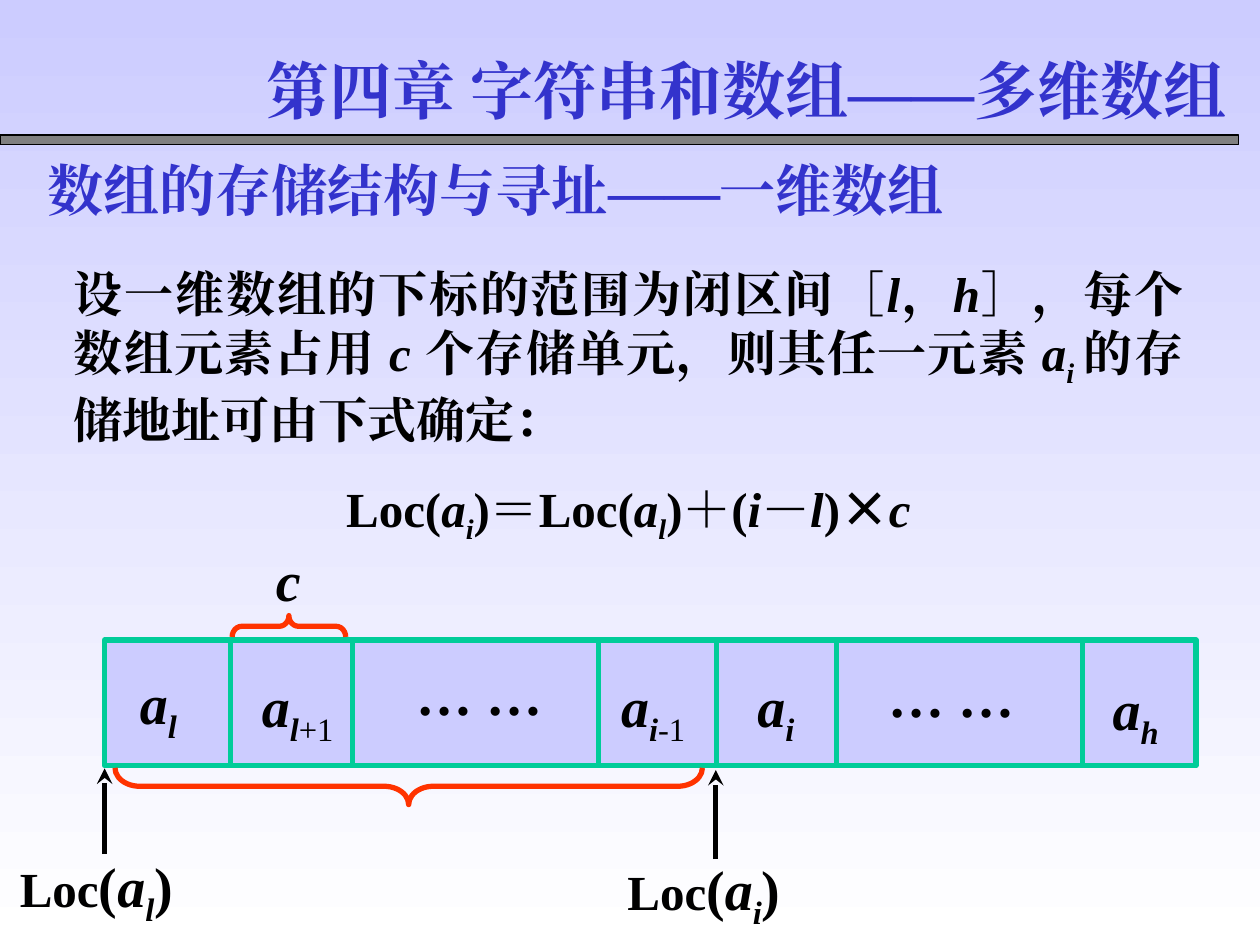
"""Build the slide on how a one-dimensional array is stored and addressed."""
from lxml.etree import SubElement
from pptx import Presentation
from pptx.dml.color import RGBColor
from pptx.enum.shapes import MSO_CONNECTOR, MSO_SHAPE
from pptx.enum.text import MSO_ANCHOR, MSO_AUTO_SIZE, PP_ALIGN
from pptx.oxml.ns import qn
from pptx.util import Cm, Pt

THEME = {
    "title": RGBColor(0x33, 0x33, 0xCC),
    "text": RGBColor(0, 0, 0),
    "bar": RGBColor(0x80, 0x80, 0x80),
    "cell": RGBColor(0xCC, 0xCC, 0xFF),
    "edge": RGBColor(0x00, 0xCC, 0x99),
    "brace": RGBColor(0xFF, 0x33, 0x00),
    "fade": RGBColor(0xFF, 0xFF, 0xFF),
    "huge": Pt(36),
    "large": Pt(32),
    "body": Pt(28),
    "thick": Pt(3),
    "thin": Pt(0.75),
    "serif": "Times New Roman",
    "sans": "Noto Sans CJK SC",
    "comic": "Comic Neue",
}
PLAIN = {"bold": True, "italic": False, "name": THEME["serif"]}
STYLE = {
    "plain": {},
    "var": {"italic": True},
    "sub": {"italic": True},
    "off": {"italic": False, "bold": False},
    "sans": {"name": THEME["sans"]},
    "comic": {"name": THEME["comic"]},
    "big": {"size": THEME["large"]},
    "bigvar": {"size": THEME["large"], "italic": True},
    "bigsub": {"size": THEME["large"], "italic": True},
}
DROP = {"sub": "-25000", "off": "-25000", "bigsub": "-25000"}


def write(para, parts, size, color="text"):
    for text, kind in parts:
        run = para.add_run()
        run.text = text
        for key, value in {**PLAIN, "size": size, **STYLE[kind]}.items():
            setattr(run.font, key, value)
        run.font.color.rgb = THEME[color]
        props = run._r.get_or_add_rPr()
        SubElement(props, qn("a:ea")).set("typeface", THEME["serif"])
        if kind in DROP:
            props.set("baseline", DROP[kind])


def label(area, parts, size, color="text", side=0.25, top=0.13, align=PP_ALIGN.LEFT):
    frame = slide.shapes.add_textbox(*map(Cm, area)).text_frame
    form = {"word_wrap": True, "margin_left": Cm(side), "margin_right": Cm(side),
            "margin_top": Cm(top), "margin_bottom": Cm(top)}
    for key, value in form.items():
        setattr(frame, key, value)
    frame.paragraphs[0].alignment = align
    write(frame.paragraphs[0], parts, size, color)
    return frame


deck = Presentation()
deck.slide_width, deck.slide_height = Cm(25.4), Cm(19.05)
slide = deck.slides.add_slide(deck.slide_layouts[5])
shapes = slide.shapes

back = slide.background.fill
back.gradient()
back.gradient_angle = 270
for stop, spot, name in zip(back.gradient_stops, (0, 1), ("cell", "fade")):
    stop.position = spot
    stop.color.rgb = THEME[name]

title = shapes.title
for key, value in zip(("left", "top", "width", "height"), (5.11, 0.91, 20.29, 1.78)):
    setattr(title, key, Cm(value))
form = {"word_wrap": True, "vertical_anchor": MSO_ANCHOR.TOP, "auto_size": MSO_AUTO_SIZE.NONE}
for key, value in form.items():
    setattr(title.text_frame, key, value)
head = title.text_frame.paragraphs[0]
head.alignment = PP_ALIGN.LEFT
write(head, [("第四章 字符串和数组——多维数组", "sans")], THEME["huge"], "title")
props = head.runs[0]._r.get_or_add_rPr()
glow = props.makeelement(qn("a:effectLst"), {})
props.find(qn("a:solidFill")).addnext(glow)
shade = SubElement(glow, qn("a:outerShdw"), dist="38100", dir="2700000")
SubElement(shade, qn("a:srgbClr"), val=str(THEME["bar"]))

for area, fill, line, width in (
    ((0, 2.72, 24.97, 0.2), "bar", "text", "thin"),
    ((2.11, 12.9, 22, 2.54), "cell", "edge", "thick"),
):
    rect = shapes.add_shape(MSO_SHAPE.RECTANGLE, *map(Cm, area))
    rect.shadow.inherit = False
    rect.fill.solid()
    rect.fill.fore_color.rgb = THEME[fill]
    rect.line.color.rgb = THEME[line]
    rect.line.width = THEME[width]

label((0.71, 3, 22.43, 1.63), [("数组的存储结构与寻址——一维数组", "plain")],
      THEME["large"], "title")

body = label((1.24, 5.18, 22.86, 6), [
    ("设一维数组的下标的范围为闭区间", "plain"), ("［", "sans"), ("l", "var"),
    ("，", "plain"), ("h", "var"), ("］，每个数组元素占用 ", "sans"), ("c ", "var"),
    ("个存储单元，则", "sans"), ("其", "plain"), ("任一元", "comic"), ("素 ", "sans"),
    ("a", "var"), ("i ", "sub"), ("的存储地址可由下式确定：", "plain"),
], THEME["body"], align=PP_ALIGN.JUSTIFY)
body.paragraphs[0].space_after = Pt(17.5)
rule = body.add_paragraph()
rule.alignment = PP_ALIGN.CENTER
write(rule, [
    ("Loc(", "plain"), ("a", "var"), ("i", "sub"), (")", "plain"), ("＝", "sans"),
    ("Loc(", "plain"), ("a", "var"), ("l", "sub"), (")", "plain"), ("＋", "sans"),
    ("(", "plain"), ("i", "var"), ("－", "sans"), ("l", "var"), (")", "plain"),
    ("×", "sans"), ("c", "var"),
], THEME["body"])

for kind, area, curve in (
    (MSO_SHAPE.LEFT_BRACE, (7.87, 9.93, 0.74, 11.84), 0.67),
    (MSO_SHAPE.RIGHT_BRACE, (5.61, 11.48, 0.43, 2.29), 0.45),
):
    brace = shapes.add_shape(kind, *map(Cm, area))
    brace.rotation = 270
    brace.adjustments[0] = curve
    brace.shadow.inherit = False
    brace.fill.background()
    brace.line.color.rgb = THEME["brace"]
    brace.line.width = THEME["thick"]

label((5.31, 11, 0.99, 1.35), [("c", "var")], THEME["large"], top=0)

walls = [(x, 12.9, x, 15.44, "edge") for x in (4.65, 7.11, 12.07, 14.45, 16.87, 21.82)]
marks = [(2.11, 17.22, 2.11, 15.49, "text"), (14.43, 17.32, 14.43, 15.52, "text")]
for *ends, color in walls + marks:
    line = shapes.add_connector(MSO_CONNECTOR.STRAIGHT, *map(Cm, ends))
    line.line.color.rgb = THEME[color]
    line.line.width = THEME["thick"]
    if color == "text":
        SubElement(line.line._get_or_add_ln(), qn("a:tailEnd"), type="stealth")
    SubElement(line._element.spPr, qn("a:effectLst"))

for left, top, width, sub, tail in (
    (2.82, 13.34, 1.42, "l", ""),
    (5.28, 13.41, 1.9, "l", "+1"),
    (12.52, 13.41, 1.83, "i", "-1"),
    (15.27, 13.41, 1.14, "i", ""),
    (22.43, 13.46, 1.42, "h", ""),
):
    parts = [("a", "var"), ("".join(sub), "sub")]
    if tail:
        parts.append((tail, "off"))
    label((left, top, width, 1.8), parts, THEME["large"], side=0)

for left, top in ((7.87, 13.16), (17.4, 13.21)):
    label((left, top, 3.58, 1.63), [("… …", "plain")], THEME["large"],
          side=0, align=PP_ALIGN.CENTER)

for left, top, sub in ((0.15, 17.17, "l"), (12.4, 17.22, "i")):
    label((left, top, 4.29, 1.55), [
        ("Loc", "plain"), ("(", "big"), ("a", "bigvar"), (sub, "bigsub"), (")", "big"),
    ], THEME["body"], top=0)

deck.save("out.pptx")
